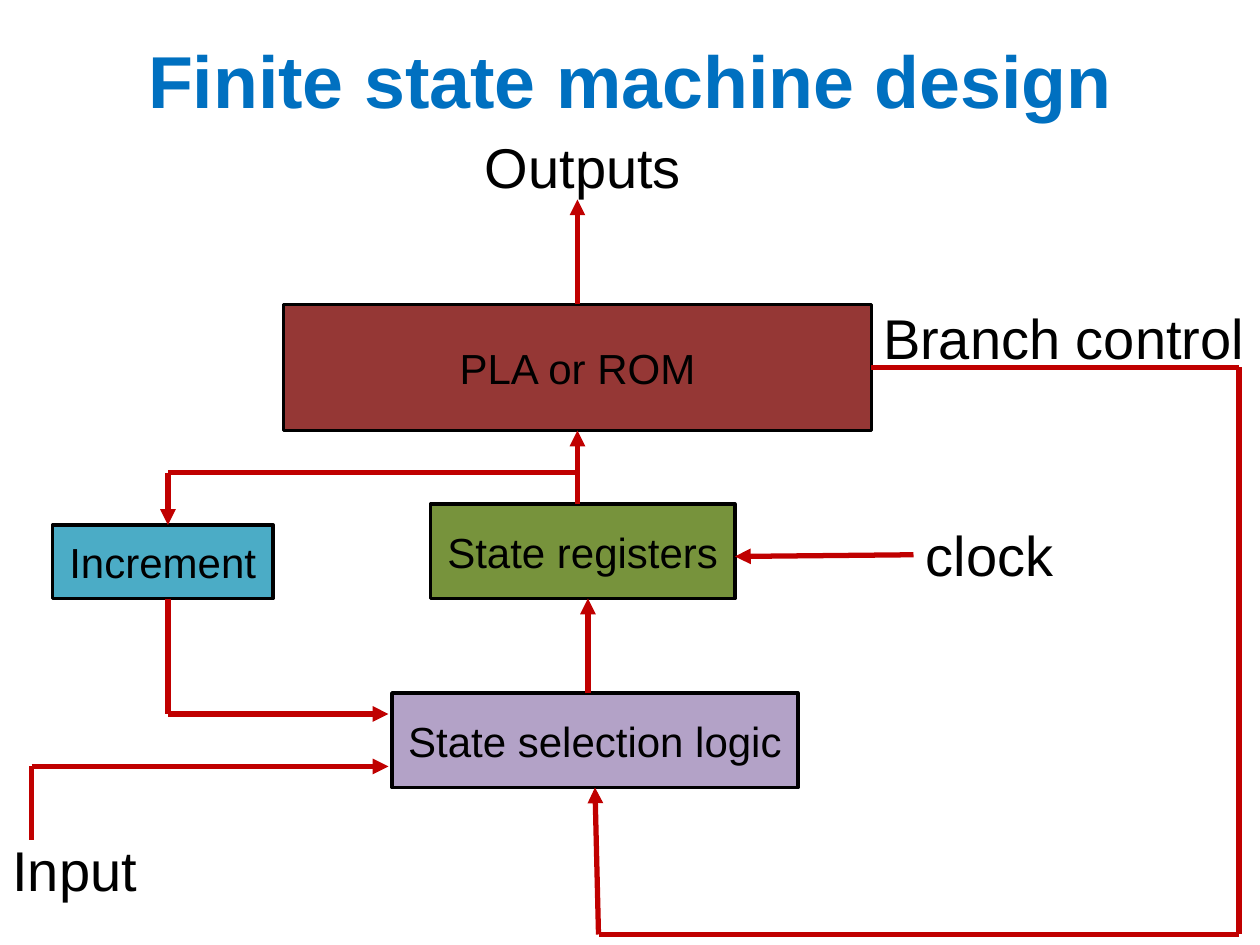
import dataclasses
import itertools

import lxml.etree
import pptx
import pptx.dml.color
import pptx.enum.shapes
import pptx.enum.text
import pptx.oxml.ns
import pptx.util

Pt = pptx.util.Pt
TOP, LEFT, BOTTOM, RIGHT = range(4)


@dataclasses.dataclass(frozen=True)
class Theme:
    font: str = "Arial"
    title_size: int = 42
    label_size: int = 32
    box_size: int = 24
    title: str = "0070C0"
    text: str = "000000"
    outline: str = "000000"
    arrow: str = "C00000"
    memory: str = "953735"
    registers: str = "77933C"
    increment: str = "4BACC6"
    selection: str = "B3A2C7"
    outline_width: int = 2
    arrow_width: int = 3


def rgb(value):
    return pptx.dml.color.RGBColor.from_string(value)


def write(text_frame, text, *, font, size, color, bold=False, align=None, anchor=None):
    text_frame.text = text
    if anchor is not None:
        text_frame.vertical_anchor = anchor
    paragraph = text_frame.paragraphs[0]
    paragraph.alignment = align
    run_font = paragraph.runs[0].font
    run_font.name = font
    run_font.size = Pt(size)
    run_font.bold = bold
    run_font.color.rgb = rgb(color)


class Diagram:
    centered = {
        "align": pptx.enum.text.PP_ALIGN.CENTER,
        "anchor": pptx.enum.text.MSO_ANCHOR.MIDDLE,
    }

    def __init__(self, slide, theme):
        self.slide = slide
        self.theme = theme

    def title(self, text, left, top, width, height):
        shape = self.slide.shapes.title
        shape.left, shape.top = Pt(left), Pt(top)
        shape.width, shape.height = Pt(width), Pt(height)
        write(shape.text_frame, text, font=self.theme.font, size=self.theme.title_size,
              color=self.theme.title, bold=True, **self.centered)

    def box(self, text, left, top, width, height, fill):
        shape = self.slide.shapes.add_shape(
            pptx.enum.shapes.MSO_SHAPE.RECTANGLE, Pt(left), Pt(top), Pt(width), Pt(height))
        shape.shadow.inherit = False
        shape.fill.solid()
        shape.fill.fore_color.rgb = rgb(fill)
        shape.line.color.rgb = rgb(self.theme.outline)
        shape.line.width = Pt(self.theme.outline_width)
        shape.text_frame.word_wrap = False
        write(shape.text_frame, text, font=self.theme.font, size=self.theme.box_size,
              color=self.theme.text, **self.centered)
        return shape

    def label(self, text, left, top, width, height=46):
        shape = self.slide.shapes.add_textbox(Pt(left), Pt(top), Pt(width), Pt(height))
        shape.text_frame.word_wrap = False
        shape.text_frame.auto_size = pptx.enum.text.MSO_AUTO_SIZE.SHAPE_TO_FIT_TEXT
        write(shape.text_frame, text, font=self.theme.font, size=self.theme.label_size,
              color=self.theme.text)

    def line(self, start, end, arrow=False):
        connector = self.slide.shapes.add_connector(
            pptx.enum.shapes.MSO_CONNECTOR.STRAIGHT, *map(Pt, start + end))
        connector.line.color.rgb = rgb(self.theme.arrow)
        connector.line.width = Pt(self.theme.arrow_width)
        qn = pptx.oxml.ns.qn
        if arrow:
            lxml.etree.SubElement(connector.get_or_add_ln(), qn("a:tailEnd"), type="triangle")
        lxml.etree.SubElement(connector.element.spPr, qn("a:effectLst"))
        return connector

    def route(self, *points, begin=None, end=None):
        segments = list(itertools.pairwise(points))
        connectors = [self.line(*segment, arrow=segment is segments[-1])
                      for segment in segments]
        if begin:
            connectors[0].begin_connect(*begin)
        if end:
            connectors[-1].end_connect(*end)


def main():
    presentation = pptx.Presentation()
    presentation.slide_width, presentation.slide_height = Pt(720), Pt(540)
    slide = presentation.slides.add_slide(presentation.slide_layouts[5])
    theme = Theme()
    diagram = Diagram(slide, theme)

    diagram.title("Finite state machine design", 0, 0, 720, 90)
    memory = diagram.box("PLA or ROM", 162, 174, 336, 72, theme.memory)
    diagram.box("State registers", 246, 288, 174, 54, theme.registers)
    diagram.box("Increment", 30, 300, 126, 42, theme.increment)
    selection = diagram.box("State selection logic", 224, 396, 232, 54, theme.selection)

    diagram.label("Outputs", 270, 72, 127.4)
    diagram.label("Branch control", 497.5, 170, 222.5)
    diagram.label("clock", 522, 294, 87.8)
    diagram.label("Input", 0, 474, 86.4)

    diagram.route((330, 174), (330, 114), begin=(memory, TOP))
    diagram.route((330, 288), (330, 246), end=(memory, BOTTOM))
    diagram.route((330, 270), (96, 270), (96, 300))
    diagram.route((96, 342), (96, 408), (222, 408))
    diagram.route((18, 480), (18, 438), (222, 438))
    diagram.route((336, 396), (336, 342))
    diagram.route((522, 317), (420, 318))
    diagram.route((498, 210), (708, 210), (708, 534), (612, 534), (342, 534), (340, 450),
                  begin=(memory, RIGHT), end=(selection, BOTTOM))

    presentation.save("out.pptx")


if __name__ == "__main__":
    main()
